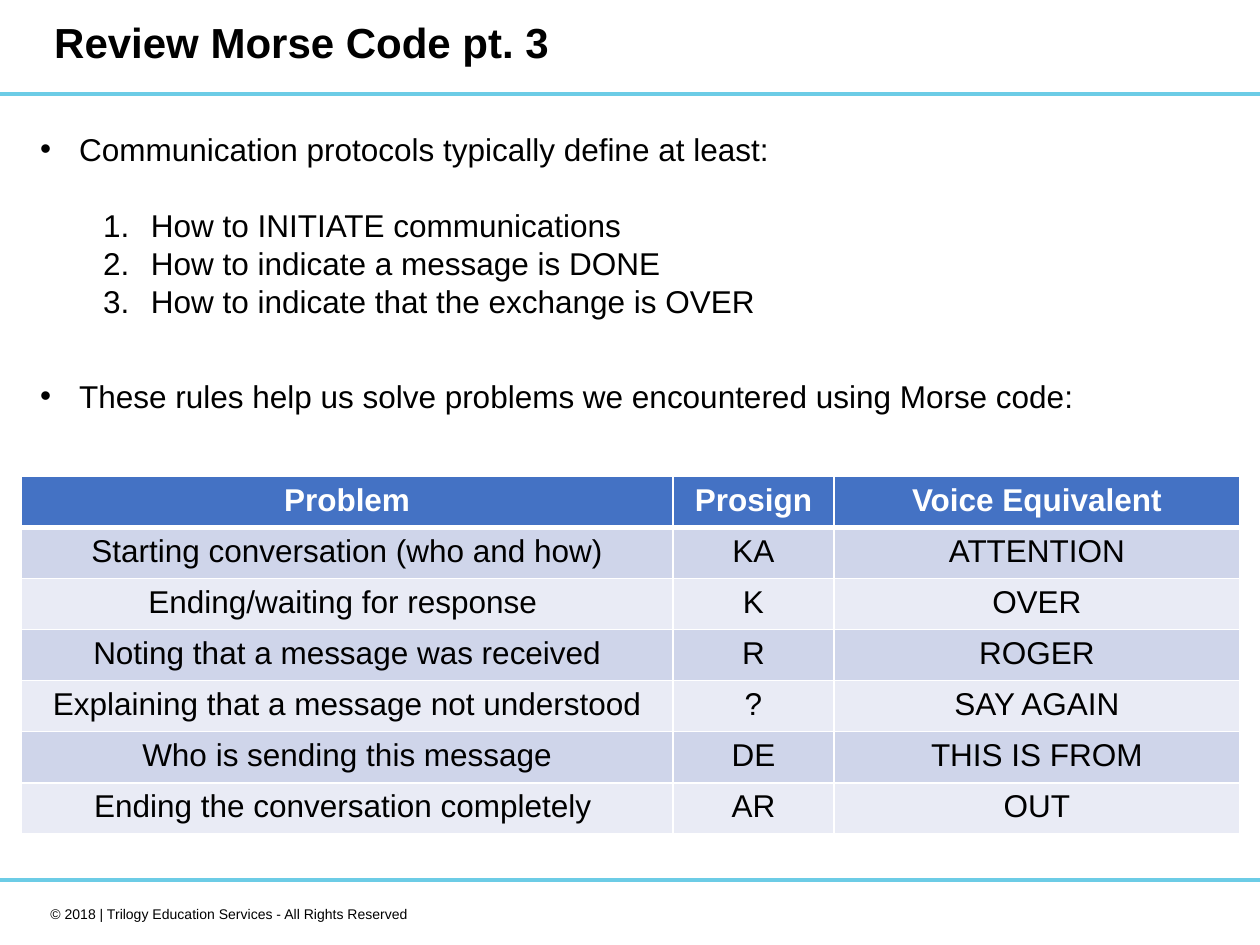
from lxml import etree
from pptx import Presentation
from pptx import util as u
from pptx.dml.color import RGBColor
from pptx.enum import shapes, text
from pptx.oxml.ns import qn

COLORS = {"bar": "6CCCE6", "text": "000000", "white": "FFFFFF",
          "header": "4472C4", "odd": "CFD5EA", "even": "E9EBF5"}


def set_font(font, size, color="text", bold=False):
    font.name = "Arial"
    font.size = u.Pt(size)
    font.bold = bold
    font.color.rgb = RGBColor.from_string(COLORS[color])


def add_border(cell, position, side, points):
    line = etree.Element(qn(f"a:{side}"), w=str(u.Pt(points)))
    fill = etree.SubElement(line, qn("a:solidFill"))
    etree.SubElement(fill, qn("a:srgbClr"), val=COLORS["white"])
    cell._tc.get_or_add_tcPr().insert(position, line)


deck = Presentation()
deck.slide_width, deck.slide_height = u.Inches(10), u.Inches(7.5)
page = deck.slides.add_slide(deck.slide_layouts[5])

for top in (6.97, 0.73):
    bar = page.shapes.add_shape(shapes.MSO_SHAPE.FLOWCHART_PROCESS, 0, u.Inches(top),
                                u.Inches(10), u.Inches(0.03))
    bar.shadow.inherit = False
    bar.fill.solid()
    bar.fill.fore_color.rgb = RGBColor.from_string(COLORS["bar"])
    bar.line.fill.background()

title = page.shapes.title
title.left, title.top = u.Inches(0.33), 0
title.width, title.height = u.Inches(8.25), u.Inches(0.72)
title.text_frame.text = "Review Morse Code pt. 3"
title.text_frame.vertical_anchor = text.MSO_ANCHOR.MIDDLE
para = title.text_frame.paragraphs[0]
para.alignment = text.PP_ALIGN.LEFT
para.line_spacing = 0.9
set_font(para.font, 24, bold=True)

footer = page.shapes.add_textbox(u.Inches(0.17), u.Inches(7.14), u.Inches(3.17), u.Inches(0.24))
footer.text_frame.word_wrap = True
para = footer.text_frame.paragraphs[0]
para.text = "© 2018 | Trilogy Education Services - All Rights Reserved"
para.alignment = text.PP_ALIGN.RIGHT
set_font(para.font, 8)

points = [
    (0, "Communication protocols typically define at least:", 0, 1),
    (2, "How to INITIATE communications", 22, 1),
    (2, "How to indicate a message is DONE", 0, 1),
    (2, "How to indicate that the exchange is OVER", 0, 1),
    (0, "These rules help us solve problems we encountered using Morse code:", 22, 1.5),
]
body = page.shapes.add_textbox(u.Inches(0.22), u.Inches(0.98), u.Inches(9.44), u.Inches(2.6))
frame = body.text_frame
frame.word_wrap = True
for index, (level, words, space, spacing) in enumerate(points):
    para = frame.paragraphs[0] if index == 0 else frame.add_paragraph()
    para.text = words
    para.level = level
    para.line_spacing = spacing
    if space:
        para.space_before = u.Pt(space)
    margin, indent = (0.88, -0.38) if level else (0.31, -0.31)
    properties = para._p.get_or_add_pPr()
    properties.set("marL", str(u.Inches(margin)))
    properties.set("indent", str(u.Inches(indent)))
    etree.SubElement(properties, qn("a:buFont"), typeface="Arial")
    if level:
        etree.SubElement(properties, qn("a:buAutoNum"), type="arabicPeriod")
    else:
        etree.SubElement(properties, qn("a:buChar"), char="•")
    set_font(para.font, 18)

rows = [
    ("Problem", "Prosign", "Voice Equivalent"),
    ("Starting conversation (who and how)", "KA", "ATTENTION"),
    ("Ending/waiting for response ", "K", "OVER"),
    ("Noting that a message was received", "R", "ROGER"),
    ("Explaining that a message not understood", "?", "SAY AGAIN"),
    ("Who is sending this message", "DE", "THIS IS FROM"),
    ("Ending the conversation completely ", "AR", "OUT"),
]
table = page.shapes.add_table(len(rows), 3, u.Inches(0.17), u.Inches(3.78),
                              u.Inches(9.67), u.Inches(2.84)).table
for column, width in zip(table.columns, (5.17, 1.28, 3.22)):
    column.width = u.Inches(width)
for r, row in enumerate(rows):
    shade = "header" if r == 0 else ("odd" if r % 2 else "even")
    for c, words in enumerate(row):
        cell = table.cell(r, c)
        cell.fill.solid()
        cell.fill.fore_color.rgb = RGBColor.from_string(COLORS[shade])
        widths = {"lnL": 1, "lnR": 1, "lnT": 3 if r == 1 else 1, "lnB": 3 if r == 0 else 1}
        for position, (side, width) in enumerate(widths.items()):
            add_border(cell, position, side, width)
        cell.text = words
        para = cell.text_frame.paragraphs[0]
        para.alignment = text.PP_ALIGN.CENTER
        set_font(para.font, 18, "white" if r == 0 else "text", r == 0)

deck.save("out.pptx")
